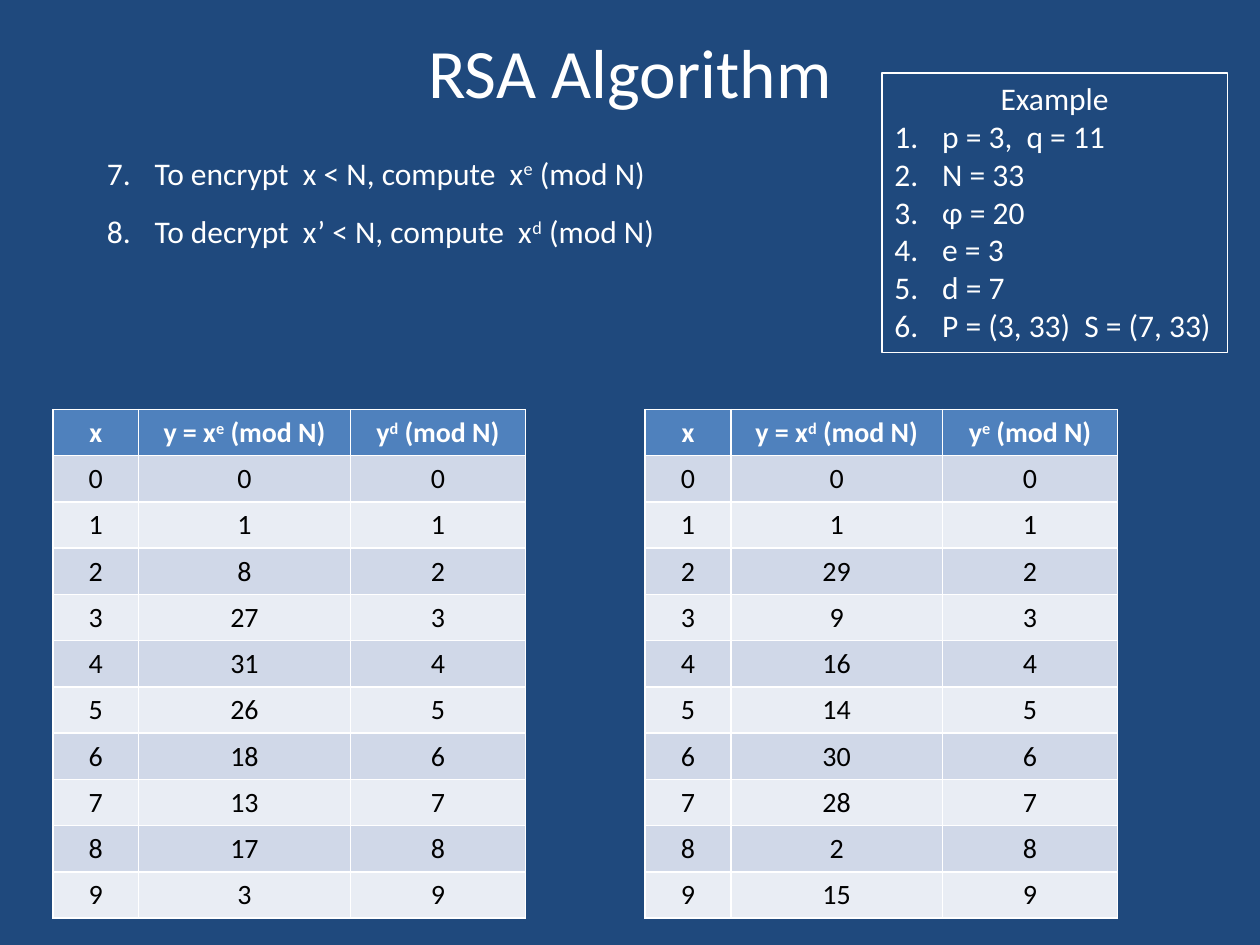
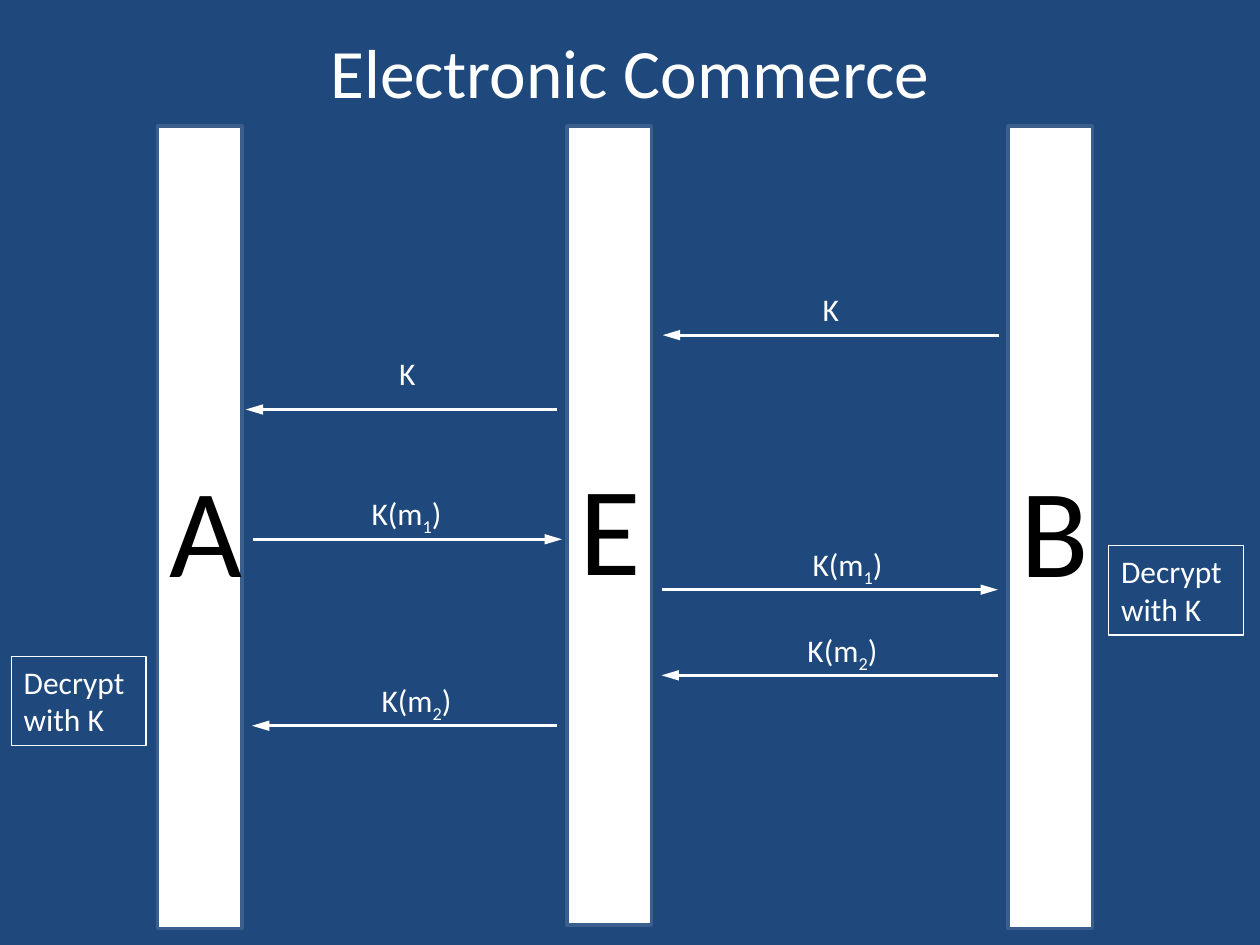
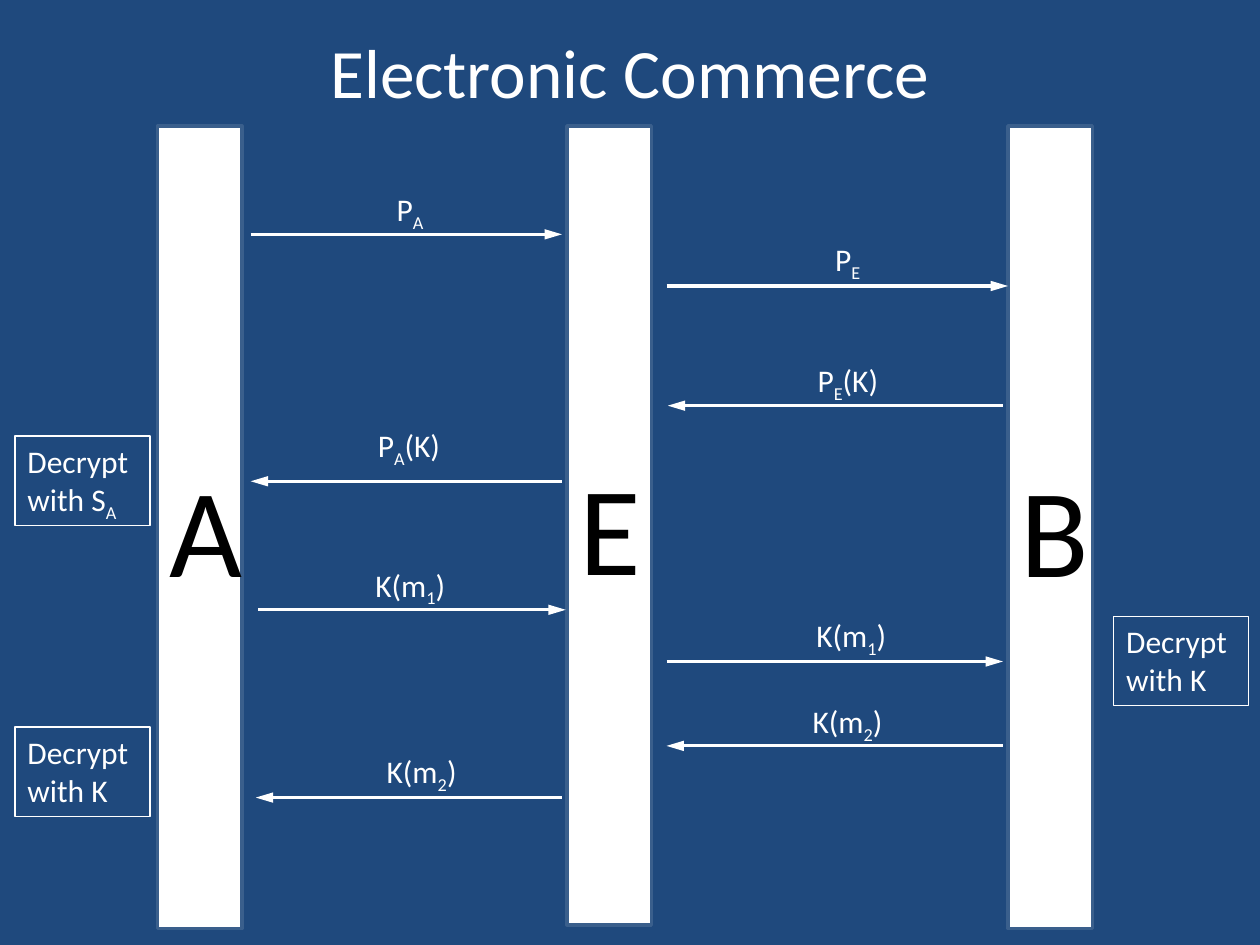
from lxml.etree import SubElement
from pptx import Presentation
from pptx.dml.color import RGBColor
from pptx.enum.shapes import MSO_CONNECTOR, MSO_SHAPE
from pptx.enum.text import MSO_ANCHOR, MSO_AUTO_SIZE, PP_ALIGN
from pptx.oxml.ns import qn
from pptx.util import Inches, Pt

NAVY = RGBColor(0x1F, 0x49, 0x7D)
WHITE = RGBColor(0xFF, 0xFF, 0xFF)
BLACK = RGBColor(0x00, 0x00, 0x00)
PILLAR_EDGE = RGBColor(0x3A, 0x5F, 0x8C)
HEADER_BLUE = RGBColor(0x4F, 0x81, 0xBD)
BANDS = [RGBColor(0xD0, 0xD8, 0xE8), RGBColor(0xE9, 0xED, 0xF4)]
FONT = "Calibri"
SUPER, SUB = "30000", "-25000"


def write_text(para, text, size=18, color=WHITE, shift=SUB, align=None, number=None):
    """Text between bars is raised or lowered; number starts a numbered list."""
    for index, part in enumerate(text.split("|")):
        if part:
            span = para.add_run()
            span.text = part
            if index % 2:
                span._r.get_or_add_rPr().set("baseline", shift)
    if number:
        props = para._p.get_or_add_pPr()
        props.set("marL", str(Inches(0.38)))
        props.set("indent", str(-Inches(0.38)))
        SubElement(props, qn("a:buFont"), typeface="+mj-lt")
        SubElement(props, qn("a:buAutoNum"), type="arabicPeriod", startAt=str(number))
    if align is not None:
        para.alignment = align
    para.font.name = FONT
    para.font.size = Pt(size)
    para.font.color.rgb = color


def add_box(page, left, top, width, height, lines, outlined=False, **style):
    box = page.shapes.add_textbox(Inches(left), Inches(top), Inches(width), Inches(height))
    frame = box.text_frame
    frame.word_wrap = False
    frame.auto_size = MSO_AUTO_SIZE.SHAPE_TO_FIT_TEXT
    if outlined:
        box.line.color.rgb = WHITE
        box.line.width = Pt(0.75)
    for index, line in enumerate(lines):
        para = frame.add_paragraph() if index else frame.paragraphs[0]
        write_text(para, line, **style)
    return frame


deck = Presentation()
deck.slide_width, deck.slide_height = Inches(10), Inches(7.5)
background = deck.slide_master.background.fill
background.solid()
background.fore_color.rgb = NAVY

# Pages with their titles
pages = []
for heading in ["RSA Algorithm", "Electronic Commerce", "Electronic Commerce"]:
    page = deck.slides.add_slide(deck.slide_layouts[5])
    title = page.shapes.title
    title.left, title.top = Inches(0.5), Inches(0.17)
    title.width, title.height = Inches(9), Inches(0.78)
    title.text_frame.vertical_anchor = MSO_ANCHOR.MIDDLE
    write_text(title.text_frame.paragraphs[0], heading, 39.6, align=PP_ALIGN.CENTER)
    pages.append(page)
rsa_page, *commerce_pages = pages

# RSA: encryption steps and worked example
steps = add_box(rsa_page, 0.75, 1.17, 4.6, 0.88,
                ["To encrypt  x < N, compute  x|e| (mod N)",
                 "To decrypt  x’ < N, compute  x|d| (mod N)"],
                shift=SUPER, number=7)
steps.paragraphs[1].space_before = Pt(12)

example = add_box(rsa_page, 7, 0.58, 2.74, 2.22, ["Example"], outlined=True,
                  align=PP_ALIGN.CENTER)
for line in ["p = 3,  q = 11", "N = 33", "φ = 20", "e = 3", "d = 7",
             "P = (3, 33)  S = (7, 33)"]:
    write_text(example.add_paragraph(), line, number=1)

# RSA: tables of powers, one for each order of the two keys
MODULUS = 33
for left, first_key, second_key, exponent in [(0.42, "e", "d", 3), (5.12, "d", "e", 7)]:
    rows = [["x", f"y = x|{first_key}| (mod N)", f"y|{second_key}| (mod N)"]]
    rows += [[str(x), str(pow(x, exponent, MODULUS)), str(x)] for x in range(10)]
    table = rsa_page.shapes.add_table(len(rows), 3, Inches(left), Inches(3.25),
                                      Inches(3.75), Inches(4.03)).table
    for column, width in zip(table.columns, [0.68, 1.68, 1.39]):
        column.width = Inches(width)
    for row_index, row in enumerate(rows):
        is_header = row_index == 0
        for column_index, text in enumerate(row):
            cell = table.cell(row_index, column_index)
            cell.fill.solid()
            cell.fill.fore_color.rgb = HEADER_BLUE if is_header else BANDS[(row_index - 1) % 2]
            para = cell.text_frame.paragraphs[0]
            write_text(para, text, 16, WHITE if is_header else BLACK, SUPER, PP_ALIGN.CENTER)
            para.font.bold = is_header

# Commerce: parties, messages and decryption notes
PILLARS = [("A", 1.25, 6.37), ("E", 4.5, 6.34), ("B", 8, 6.37)]
LABEL_WIDTHS = {"K": 0.33, "K(m|1|)": 0.78, "K(m|2|)": 0.78, "P|A|": 0.41, "P|E|": 0.41,
                "P|A|(K)": 0.7, "P|E|(K)": 0.7}
# Each message: start x, end x, y, label, label left, label top
shared_key_messages = [
    (7.93, 5.26, 2.66, "K", 6.43, 2.25),
    (4.42, 1.95, 3.25, "K", 3.07, 2.76),
    (2.01, 4.46, 4.28, "K(m|1|)", 2.85, 3.87),
    (5.25, 7.92, 4.68, "K(m|1|)", 6.35, 4.28),
    (7.92, 5.25, 5.36, "K(m|2|)", 6.31, 4.96),
    (4.42, 2, 5.76, "K(m|2|)", 2.93, 5.36),
]
public_key_messages = [
    (1.99, 4.46, 1.86, "P|A|", 3.05, 1.46),
    (5.29, 8, 2.27, "P|E|", 6.53, 1.86),
    (7.96, 5.3, 3.22, "P|E|(K)", 6.39, 2.82),
    (4.46, 1.99, 3.82, "P|A|(K)", 2.9, 3.33),
    (2.05, 4.49, 4.84, "K(m|1|)", 2.88, 4.44),
    (5.29, 7.96, 5.25, "K(m|1|)", 6.38, 4.84),
    (7.96, 5.29, 5.92, "K(m|2|)", 6.35, 5.52),
    (4.46, 2.03, 6.33, "K(m|2|)", 2.97, 5.92),
]
# Each note: left, top, key
shared_key_notes = [(8.8, 4.33, "K"), (0.09, 5.21, "K")]
public_key_notes = [(0.12, 3.46, "S|A|"), (8.84, 4.89, "K"), (0.12, 5.77, "K")]

for page, messages, notes in zip(commerce_pages,
                                 [shared_key_messages, public_key_messages],
                                 [shared_key_notes, public_key_notes]):
    for name, left, height in PILLARS:
        pillar = page.shapes.add_shape(MSO_SHAPE.RECTANGLE, Inches(left), Inches(1),
                                       Inches(0.67), Inches(height))
        pillar.shadow.inherit = False
        pillar.fill.solid()
        pillar.fill.fore_color.rgb = WHITE
        pillar.line.color.rgb = PILLAR_EDGE
        pillar.line.width = Pt(2)
        write_text(pillar.text_frame.paragraphs[0], name, 72, BLACK, align=PP_ALIGN.CENTER)

    for start, end, y, label, label_left, label_top in messages:
        arrow = page.shapes.add_connector(MSO_CONNECTOR.STRAIGHT, Inches(start), Inches(y),
                                          Inches(end), Inches(y))
        arrow.line.color.rgb = WHITE
        arrow.line.width = Pt(1.75)
        SubElement(arrow.line._get_or_add_ln(), qn("a:tailEnd"), type="triangle", w="med", len="lg")
        SubElement(arrow._element.spPr, qn("a:effectLst"))
        add_box(page, label_left, label_top, LABEL_WIDTHS[label], 0.4, [label])

    for left, top, key in notes:
        add_box(page, left, top, 1.07, 0.71, ["Decrypt", f"with {key}"], outlined=True)

deck.save("out.pptx")
